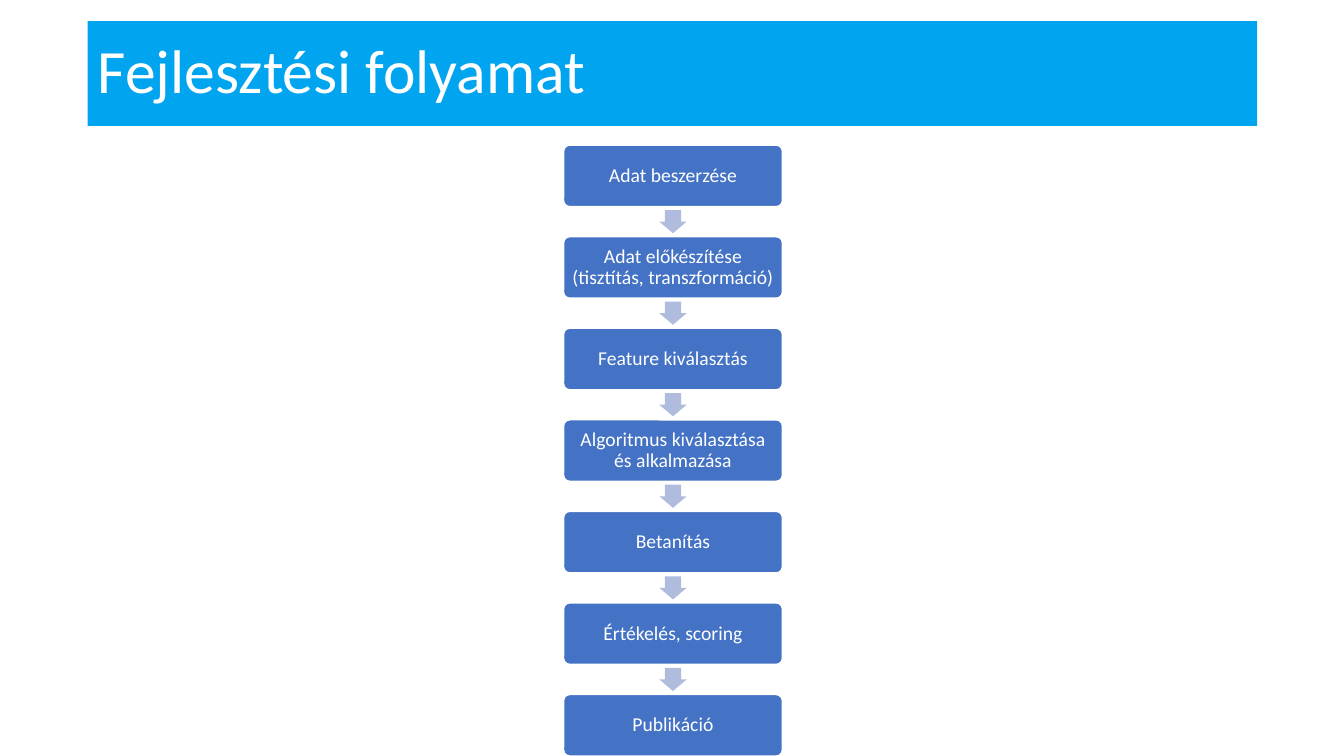
from pptx import Presentation
from pptx.dml.color import RGBColor
from pptx.enum.shapes import MSO_SHAPE
from pptx.enum.text import MSO_ANCHOR, PP_ALIGN
from pptx.util import Inches, Pt

RECTANGLE = MSO_SHAPE.RECTANGLE
ROUNDED = MSO_SHAPE.ROUNDED_RECTANGLE
RIGHT_ARROW = MSO_SHAPE.RIGHT_ARROW
MIDDLE = MSO_ANCHOR.MIDDLE
LEFT, CENTER = PP_ALIGN.LEFT, PP_ALIGN.CENTER

BANNER_BLUE = RGBColor(0x00, 0xA4, 0xEF)
TITLE_WHITE = RGBColor(0xFF, 0xFE, 0xFF)
STEP_BLUE = RGBColor(0x44, 0x72, 0xC4)
ARROW_BLUE = RGBColor(0xB0, 0xBC, 0xDE)
WHITE = RGBColor(0xFF, 0xFF, 0xFF)

STEPS = [
    "Adat beszerzése",
    "Adat előkészítése (tisztítás, transzformáció)",
    "Feature kiválasztás",
    "Algoritmus kiválasztása és alkalmazása",
    "Betanítás",
    "Értékelés, scoring",
    "Publikáció",
]
STEP_LEFT, STEP_WIDTH, STEP_HEIGHT = 5.59, 2.17, 0.61
FIRST_TOP, LAST_TOP = 1.44, 6.89
STEP_PITCH = (LAST_TOP - FIRST_TOP) / (len(STEPS) - 1)
ARROW_LENGTH, ARROW_BREADTH = 0.23, 0.27


def add_filled_shape(page, kind, left, top, width, height, color):
    shape = page.shapes.add_shape(
        kind, Inches(left), Inches(top), Inches(width), Inches(height))
    shape.shadow.inherit = False
    shape.fill.solid()
    shape.fill.fore_color.rgb = color
    shape.line.fill.background()
    return shape


def write_text(box, text, size, color, align):
    frame = box.text_frame
    frame.word_wrap = True
    frame.vertical_anchor = MIDDLE
    para = frame.paragraphs[0]
    para.text = text
    para.alignment = align
    para.line_spacing = 0.9
    para.font.name = "Calibri"
    para.font.size = Pt(size)
    para.font.color.rgb = color


def add_title(page, text):
    add_filled_shape(page, RECTANGLE, 0.87, 0.21, 11.6, 1.04, BANNER_BLUE)
    box = page.shapes.add_textbox(
        Inches(0.87), Inches(0.21), Inches(10.47), Inches(1.04))
    write_text(box, text, 44, TITLE_WHITE, LEFT)


def add_step(page, text, top):
    step = add_filled_shape(
        page, ROUNDED, STEP_LEFT, top, STEP_WIDTH, STEP_HEIGHT, STEP_BLUE)
    step.adjustments[0] = 0.1
    step.line.color.rgb = WHITE
    step.line.width = Pt(1)
    frame = step.text_frame
    frame.margin_left = frame.margin_right = Inches(0.06)
    frame.margin_top = frame.margin_bottom = Inches(0.06)
    write_text(step, text, 14, WHITE, CENTER)


def add_down_arrow(page, step_top):
    """Centre an arrow in the gap below the step that starts at step_top."""
    middle_x = STEP_LEFT + STEP_WIDTH / 2
    middle_y = step_top + (STEP_HEIGHT + STEP_PITCH) / 2
    arrow = add_filled_shape(
        page, RIGHT_ARROW, middle_x - ARROW_LENGTH / 2,
        middle_y - ARROW_BREADTH / 2, ARROW_LENGTH, ARROW_BREADTH, ARROW_BLUE)
    arrow.rotation = 90
    arrow.adjustments[0] = 0.6
    arrow.adjustments[1] = 0.5


def main():
    deck = Presentation()
    deck.slide_width = Inches(13.33)
    deck.slide_height = Inches(7.5)
    page = deck.slides.add_slide(deck.slide_layouts[6])

    add_title(page, "Fejlesztési folyamat")
    for index, text in enumerate(STEPS):
        top = FIRST_TOP + index * STEP_PITCH
        add_step(page, text, top)
        if index < len(STEPS) - 1:
            add_down_arrow(page, top)

    deck.save("out.pptx")


if __name__ == "__main__":
    main()
